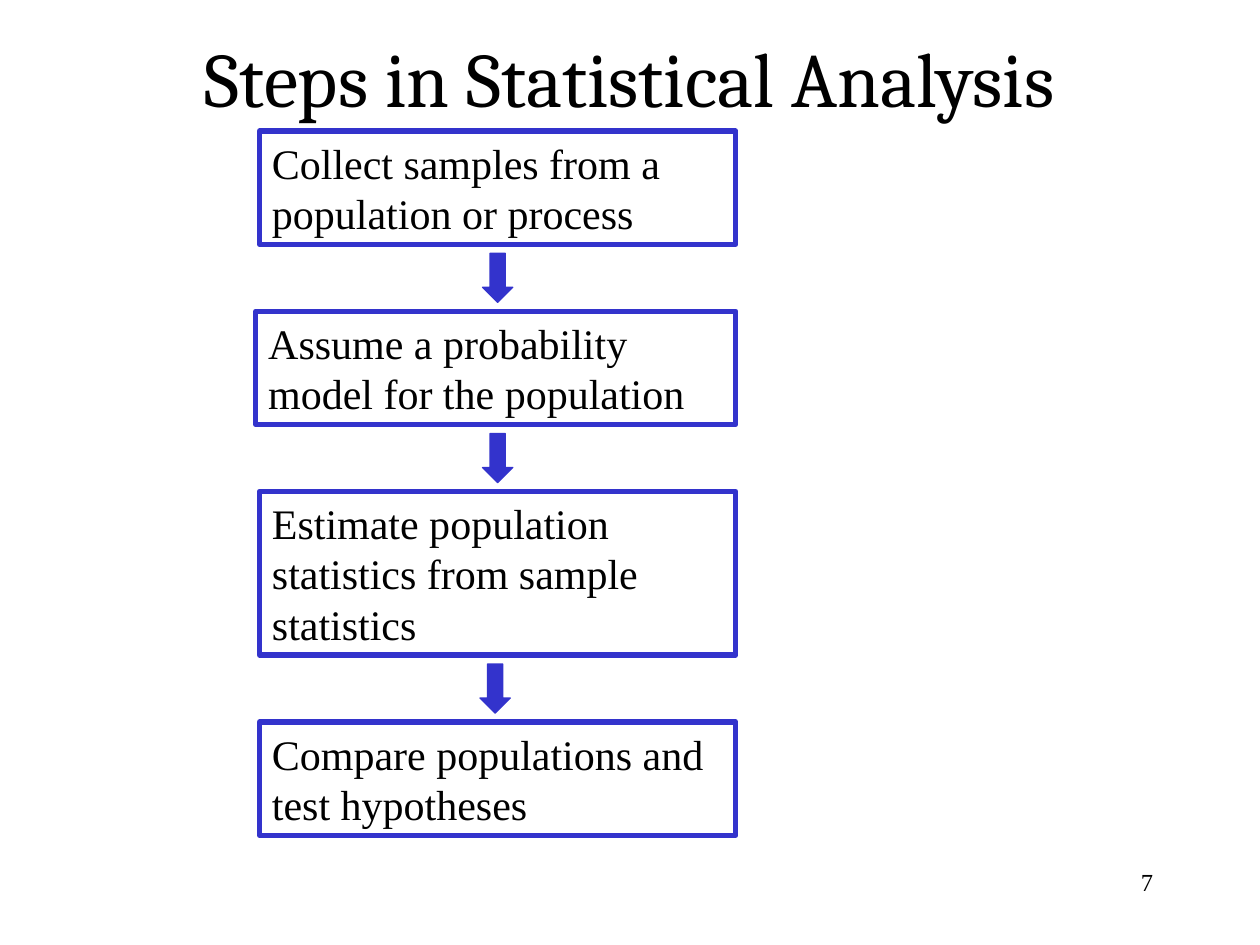
import pptx
import pptx.dml.color
import pptx.enum.shapes
import pptx.enum.text
import pptx.util

SCALE = 9144
BLUE = "3333CC"
BLACK = "000000"
ALIGN = pptx.enum.text.PP_ALIGN
ANCHOR = pptx.enum.text.MSO_ANCHOR
SHAPE = pptx.enum.shapes.MSO_SHAPE
TITLE_FONT = {"name": "Cambria", "size": pptx.util.Pt(44), "bold": False}
STEP_FONT = {"name": "Times New Roman", "size": pptx.util.Pt(24)}
NUMBER_FONT = {"name": "Times New Roman", "size": pptx.util.Pt(14)}
STEPS = [
    ("Collect samples from a population or process", 206, 90, 383),
    ("Assume a probability model for the population", 203, 90, 383),
    ("Estimate population statistics from sample statistics", 206, 130, 381),
    ("Compare populations and test hypotheses", 206, 90, None),
]


def px(*lengths):
    """Turn px lengths into EMU."""
    return [pptx.util.Emu(length * SCALE) for length in lengths]


def color(value):
    """Return the colour of a hex string."""
    return pptx.dml.color.RGBColor.from_string(value)


def write_text(shape, text, font_format, alignment, anchor):
    """Put one formatted paragraph into a shape."""
    frame = shape.text_frame
    frame.word_wrap = True
    frame.auto_size = pptx.enum.text.MSO_AUTO_SIZE.NONE
    frame.vertical_anchor = anchor
    paragraph = frame.paragraphs[0]
    paragraph.alignment = alignment
    run = paragraph.add_run()
    run.text = text
    for attribute, value in font_format.items():
        setattr(run.font, attribute, value)
    run.font.color.rgb = color(BLACK)


def add_outlined(slide, kind, box, width, fill=None):
    """Add a preset shape with a blue outline and an optional fill."""
    shape = slide.shapes.add_shape(kind, *px(*box))
    shape.shadow.inherit = False
    shape.line.color.rgb = color(BLUE)
    shape.line.width = pptx.util.Pt(width)
    if fill:
        shape.fill.solid()
        shape.fill.fore_color.rgb = color(fill)
    else:
        shape.fill.background()
    return shape


def add_title(slide, box, text):
    """Place the slide title in its placeholder."""
    title = slide.shapes.title
    title.left, title.top, title.width, title.height = px(*box)
    write_text(title, text, TITLE_FONT, ALIGN.CENTER, ANCHOR.MIDDLE)


def add_flow(slide, top, right, gap):
    """Stack the step boxes downwards with an arrow in each gap."""
    for text, left, height, arrow_left in STEPS:
        step = add_outlined(slide, SHAPE.RECTANGLE, (left, top, right - left, height), 3)
        write_text(step, text, STEP_FONT, ALIGN.LEFT, ANCHOR.TOP)
        top += height
        if arrow_left is not None:
            arrow_box = (arrow_left, top + 7, 24, gap - 14)
            add_outlined(slide, SHAPE.DOWN_ARROW, arrow_box, 0.75, BLUE)
        top += gap


def add_slide_number(slide, box, text):
    """Place the slide number in its box."""
    number = slide.shapes.add_textbox(*px(*box))
    write_text(number, text, NUMBER_FONT, ALIGN.RIGHT, ANCHOR.TOP)


def main():
    """Build and save the presentation."""
    presentation = pptx.Presentation()
    presentation.slide_width, presentation.slide_height = px(1000, 750)
    slide = presentation.slides.add_slide(presentation.slide_layouts[5])
    add_title(slide, (75, -2, 850, 125), "Steps in Statistical Analysis")
    add_slide_number(slide, (717, 683, 208, 50), "7")
    add_flow(slide, 104, 584, 53)
    presentation.save("out.pptx")


if __name__ == "__main__":
    main()
